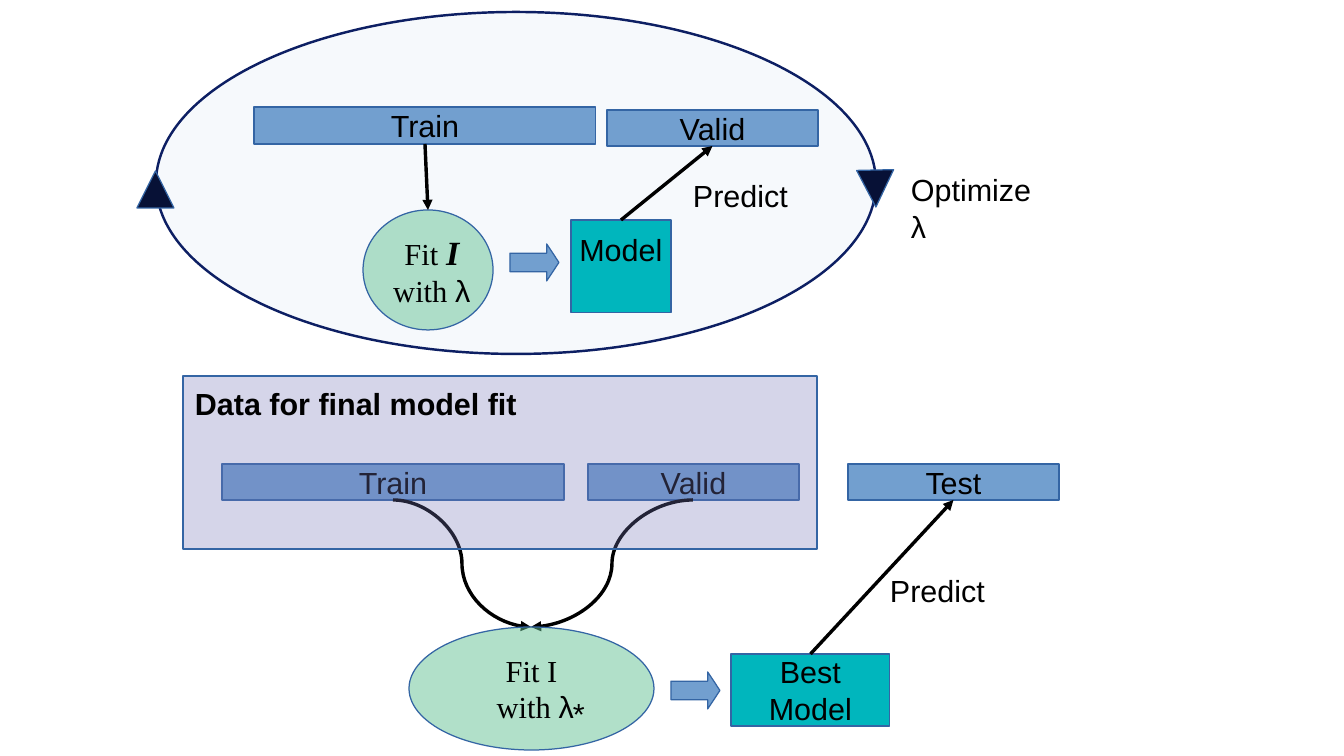
from dataclasses import dataclass, field

from lxml.etree import SubElement
from pptx import Presentation
from pptx.dml.color import RGBColor
from pptx.enum.shapes import MSO_CONNECTOR, MSO_SHAPE
from pptx.enum.text import MSO_ANCHOR, MSO_AUTO_SIZE, PP_ALIGN
from pptx.oxml.ns import qn
from pptx.util import Inches, Pt

PX_PER_INCH = 122
PAGE_SIZE = (1344, 756)


@dataclass(frozen=True)
class Theme:
    ink: str = "000000"
    edge: str = "3465A4"
    hairline: int = 0
    # style: preset, fill, opacity in percent, line colour, line width in points
    styles: dict = field(default_factory=lambda: {
        "loop": (MSO_SHAPE.OVAL, "ADC5E7", 10, "0D1F63", 1.45),
        "data": (MSO_SHAPE.RECTANGLE, "729FCF", 100, Theme.edge, 0),
        "fit": (MSO_SHAPE.OVAL, "65C295", 50, Theme.edge, 0),
        "step": (MSO_SHAPE.RIGHT_ARROW, "729FCF", 100, Theme.edge, 0),
        "model": (MSO_SHAPE.RECTANGLE, "00B6BD", 100, Theme.edge, 0),
        "panel": (MSO_SHAPE.RECTANGLE, "7477B8", 30, Theme.edge, 0),
        "turn": (MSO_SHAPE.ISOSCELES_TRIANGLE, "071136", 100, Theme.edge, 0),
    })
    fonts: dict = field(default_factory=lambda: {
        "sans": {"name": "Arial", "size": Pt(18)},
        "strong": {"name": "Arial", "size": Pt(18), "bold": True},
        "serif": {"name": "Times New Roman", "size": Pt(18)},
        "inducer": {"name": "Times New Roman", "size": Pt(20), "bold": True, "italic": True},
    })


THEME = Theme()

WITH_LAMBDA = [(" with ", "serif"), ("λ", "sans")]

# name: style, (left, top, width, height), paragraphs of (text, font) runs
FINAL_DATA = {
    "loop": ("loop", (156, 12, 720, 342), []),
    "final train": ("data", (222, 464, 342, 36), [[("Train", "sans")]]),
    "test": ("data", (848, 464, 211, 36), [[("Test", "sans")]]),
    "final valid": ("data", (588, 464, 211, 36), [[("Valid", "sans")]]),
}
FINAL_FIT = {
    "final fit": ("fit", (409, 627, 245, 123), [[("Fit I", "serif")], WITH_LAMBDA]),
    "final step": ("step", (671, 672, 49, 37), []),
    "best model": ("model", (731, 654, 159, 72), [[("Best", "sans")], [("Model", "sans")]]),
    "panel": ("panel", (183, 376, 634, 173), []),
}
TUNING = {
    "train": ("data", (254, 107, 342, 37), [[("Train", "sans")]]),
    "valid": ("data", (607, 110, 211, 36), [[("Valid", "sans")]]),
    "fit": ("fit", (363, 210, 130, 120),
            [[(" Fit ", "serif"), ("I", "inducer")], WITH_LAMBDA]),
    "step": ("step", (510, 244, 49, 37), []),
    "model": ("model", (571, 220, 100, 93), [[("Model", "sans")]]),
    "turn up": ("turn", (137, 171, 37, 37), []),
    "turn down": ("turn", (857, 170, 37, 37), []),
}
LABELS = [
    ("Predict", "sans", (878, 566, 120, 46)),
    ("*", "sans", (561, 689, 37, 46)),
    ("Data for final model fit", "strong", (183, 379, 346, 46)),
    ("Predict", "sans", (681, 171, 120, 46)),
    ("Optimize λ", "sans", (899, 165, 168, 46)),
]
MERGING = [("final train", "final fit"), ("final valid", "final fit")]
# start, side, end, side
ARROWS = [
    ("best model", 0, "test", 2),
    ("model", 0, "valid", 2),
    ("train", 2, "fit", 0),
]
MODEL_TEXT_TOP = 11
TURN_DOWN_ANGLE = 178.8


def px(*lengths):
    return [Inches(length / PX_PER_INCH) for length in lengths]


def write(frame, paragraphs, align):
    frame.word_wrap = False
    for index, runs in enumerate(paragraphs):
        para = frame.paragraphs[0] if index == 0 else frame.add_paragraph()
        para.alignment = align
        for text, font in runs:
            span = para.add_run()
            span.text = text
            for name, value in THEME.fonts[font].items():
                setattr(span.font, name, value)
            span.font.color.rgb = RGBColor.from_string(THEME.ink)


def draw_box(page, style, place, paragraphs):
    preset, fill, opacity, line, width = THEME.styles[style]
    box = page.shapes.add_shape(preset, *px(*place))
    box.shadow.inherit = False
    box.fill.solid()
    box.fill.fore_color.rgb = RGBColor.from_string(fill)
    if opacity < 100:
        color = box.element.spPr.find(qn("a:solidFill"))[0]
        SubElement(color, qn("a:alpha"), val=str(opacity * 1000))
    box.line.color.rgb = RGBColor.from_string(line)
    box.line.width = Pt(width)
    if style == "step":
        box.adjustments[1] = 0.33
    if paragraphs:
        box.text_frame.vertical_anchor = MSO_ANCHOR.MIDDLE
        write(box.text_frame, paragraphs, PP_ALIGN.CENTER)
    return box


def draw_arrow(page, kind, ends=(0, 0, 0, 0)):
    arrow = page.shapes.add_connector(kind, *px(*ends))
    arrow.line.color.rgb = RGBColor.from_string(THEME.ink)
    arrow.line.width = Pt(THEME.hairline)
    SubElement(arrow.line._get_or_add_ln(), qn("a:tailEnd"), type="triangle")
    SubElement(arrow.element.spPr, qn("a:effectLst"))
    return arrow


def merge_ends(start, end):
    """Run from the bottom middle of one place to the top middle of another."""
    left, top, width, height = FINAL_DATA[start][1]
    end_left, end_top, end_width, _ = FINAL_FIT[end][1]
    return left + width // 2, top + height, end_left + end_width // 2, end_top


def main():
    deck = Presentation()
    deck.slide_width, deck.slide_height = px(*PAGE_SIZE)
    page = deck.slides.add_slide(deck.slide_layouts[6])

    boxes = {name: draw_box(page, *entry) for name, entry in FINAL_DATA.items()}
    for start, end in MERGING:
        draw_arrow(page, MSO_CONNECTOR.CURVE, merge_ends(start, end))
    for name, entry in {**FINAL_FIT, **TUNING}.items():
        boxes[name] = draw_box(page, *entry)

    boxes["turn down"].rotation = TURN_DOWN_ANGLE
    model_frame = boxes["model"].text_frame
    model_frame.vertical_anchor = MSO_ANCHOR.TOP
    model_frame.margin_top = px(MODEL_TEXT_TOP)[0]

    for start, start_side, end, end_side in ARROWS:
        arrow = draw_arrow(page, MSO_CONNECTOR.STRAIGHT)
        arrow.begin_connect(boxes[start], start_side)
        arrow.end_connect(boxes[end], end_side)

    for text, font, place in LABELS:
        frame = page.shapes.add_textbox(*px(*place)).text_frame
        write(frame, [[(text, font)]], PP_ALIGN.LEFT)
        frame.auto_size = MSO_AUTO_SIZE.SHAPE_TO_FIT_TEXT

    deck.save("out.pptx")


if __name__ == "__main__":
    main()
